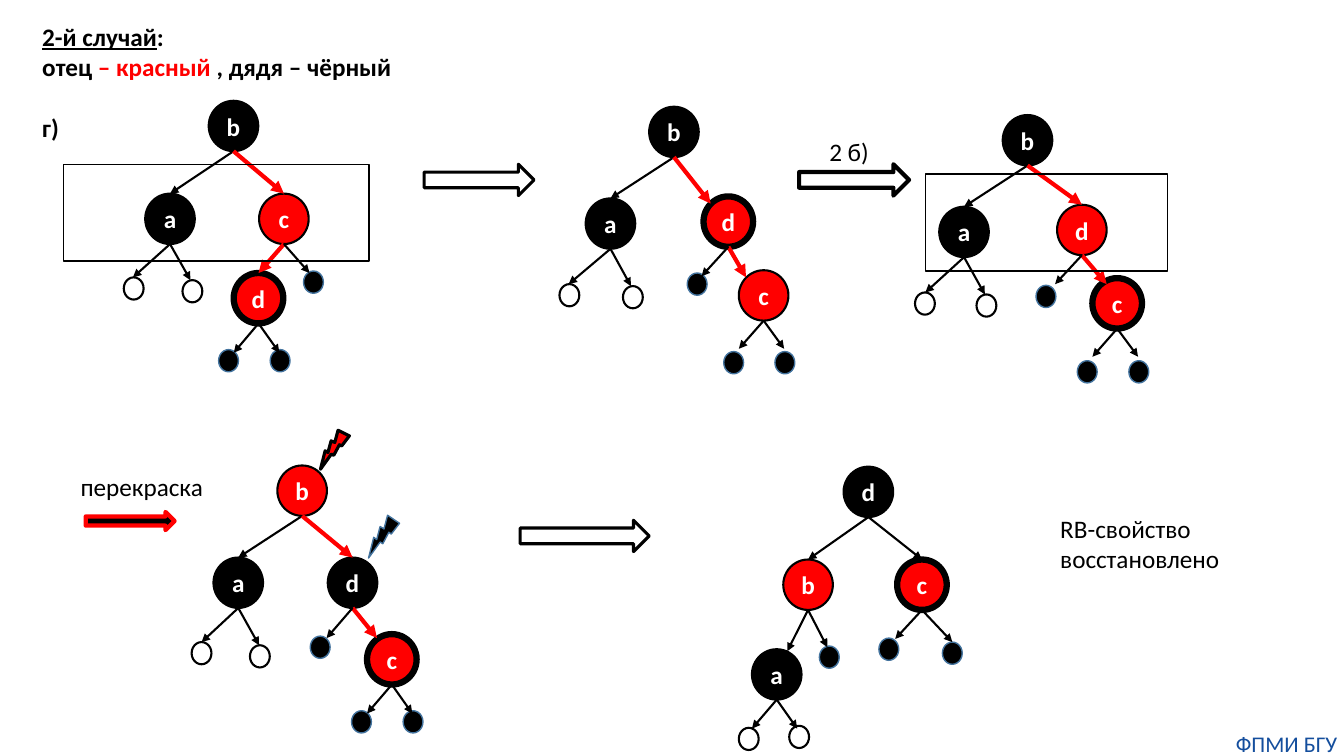
import pptx
import pptx.util
import pptx.dml.color
import pptx.enum.shapes
import pptx.enum.text
import pptx.oxml
import pptx.oxml.ns

Cm = pptx.util.Cm
Pt = pptx.util.Pt
KIND = pptx.enum.shapes.MSO_SHAPE
ALIGN = pptx.enum.text.PP_ALIGN
ANCHOR = pptx.enum.text.MSO_ANCHOR
COLORS = {"black": "000000", "red": "FF0000", "white": "FFFFFF", "steel": "43739E", "navy": "144E9D"}
NODE_WIDTH, NODE_HEIGHT = 1.25, 1.27
LEAF_WIDTH, LEAF_HEIGHT = 0.5, 0.56

deck = pptx.Presentation()
deck.slide_width = Cm(33.87)
deck.slide_height = Cm(19.05)
page = deck.slides.add_slide(deck.slide_layouts[5])


def add_figure(kind, left, top, width, height, fill, line, weight):
    figure = page.shapes.add_shape(kind, Cm(left), Cm(top), Cm(width), Cm(height))
    figure.shadow.inherit = False
    if fill:
        figure.fill.solid()
        figure.fill.fore_color.rgb = pptx.dml.color.RGBColor.from_string(COLORS[fill])
    else:
        figure.fill.background()
    figure.line.color.rgb = pptx.dml.color.RGBColor.from_string(COLORS[line])
    figure.line.width = Pt(weight)
    return figure


def format_font(font, color, size=18, bold=False):
    font.name = "Calibri"
    font.size = Pt(size)
    font.bold = bold
    font.color.rgb = pptx.dml.color.RGBColor.from_string(COLORS[color])


# nodes: label, left, top, fill, outline, parent, edge colour, edge tip
# leaves: parent, left, top, fill, edge tip
trees = [
    ([("b", 5.26, 2.54, "black", 1.5, None, None, None),
      ("a", 3.66, 4.88, "black", 1.5, "b", "black", None),
      ("c", 6.53, 4.88, "red", 1.5, "b", "red", None),
      ("d", 5.89, 6.88, "red", 4.5, "c", "red", None)],
     [("a", 3.12, 6.99, "white", (3.35, 6.99)), ("a", 4.6, 7.06, None, (4.8, 7.06)),
      ("c", 7.65, 6.83, "black", (7.8, 6.88)),
      ("d", 5.51, 8.81, "black", (5.89, 8.89)), ("d", 6.81, 8.81, "black", (7.04, 8.89))]),
    ([("b", 16.36, 2.69, "black", 1.5, None, None, None),
      ("a", 14.76, 5, "black", 1.5, "b", "black", None),
      ("d", 17.73, 4.95, "red", 4.5, "b", "red", (17.91, 5.13)),
      ("c", 18.62, 6.81, "red", 1.5, "d", "red", (18.8, 6.99))],
     [("a", 14.1, 7.16, "white", (14.33, 7.16)), ("a", 15.7, 7.21, None, (15.9, 7.21)),
      ("d", 17.32, 6.88, "black", (17.68, 6.96)),
      ("c", 18.24, 8.86, "black", (18.62, 8.79)), ("c", 19.53, 8.86, "black", (19.76, 8.79))]),
    ([("b", 25.27, 2.9, "black", 1.5, None, None, None),
      ("a", 23.67, 5.21, "black", 1.5, "b", "black", None),
      ("d", 26.64, 5.16, "red", 1.5, "b", "red", None),
      ("c", 27.53, 7.01, "red", 4.5, "d", "red", (27.89, 7.16))],
     [("a", 23.06, 7.37, "white", (23.32, 7.37)), ("a", 24.61, 7.42, None, (24.82, 7.42)),
      ("d", 26.11, 7.19, "black", (26.59, 7.16)),
      ("c", 27.15, 9.09, "black", (27.53, 8.99)), ("c", 28.45, 9.09, "black", (28.68, 8.99))]),
    ([("b", 6.99, 11.73, "red", 1.5, None, None, None),
      ("a", 5.38, 14.05, "black", 1.5, "b", "black", None),
      ("d", 8.26, 14.05, "black", 1.5, "b", "red", None),
      ("с", 9.25, 15.98, "red", 4.5, "d", "red", (9.5, 16.08))],
     [("a", 4.83, 16.18, "white", (5.08, 16.18)), ("a", 6.3, 16.26, None, (6.53, 16.26)),
      ("d", 7.82, 16.03, "black", (8.23, 16.08)),
      ("с", 8.86, 17.91, "black", (9.25, 17.98)), ("с", 10.16, 17.91, "black", (10.39, 17.98))]),
    ([("d", 21.26, 11.76, "black", 1.5, None, None, None),
      ("b", 19.74, 14.1, "red", 1.5, "d", "black", None),
      ("c", 22.61, 14.1, "red", 4.5, "d", "black", None),
      ("a", 18.95, 16.36, "black", 1.5, "b", "black", (19.84, 16.41))],
     [("a", 18.62, 18.34, None, (18.95, 18.36)), ("a", 19.89, 18.29, None, (20.09, 18.36)),
      ("b", 20.65, 16.28, "black", (20.85, 16.31)),
      ("c", 22.15, 16.08, "black", (22.56, 16.1)), ("c", 23.75, 16.18, "black", (24, 16.18))]),
]

for nodes, leaves in trees:
    bottoms = {}
    edges = []
    for label, left, top, fill, outline, parent, edge_color, tip in nodes:
        node = add_figure(KIND.OVAL, left, top, NODE_WIDTH, NODE_HEIGHT, fill, "black", outline)
        frame = node.text_frame
        frame.margin_left = frame.margin_right = frame.margin_top = frame.margin_bottom = 0
        frame.word_wrap = False
        frame.vertical_anchor = ANCHOR.MIDDLE
        frame.text = label
        frame.paragraphs[0].alignment = ALIGN.CENTER
        format_font(frame.paragraphs[0].runs[0].font, "white", bold=True)
        middle = left + NODE_WIDTH / 2
        bottoms[label] = (middle, top + NODE_HEIGHT)
        if parent:
            edges.append((parent, tip or (middle, top), edge_color))
    for parent, left, top, fill, tip in leaves:
        line, weight = ("steel", 1) if fill == "black" else ("black", 1.5)
        add_figure(KIND.OVAL, left, top, LEAF_WIDTH, LEAF_HEIGHT, fill, line, weight)
        edges.append((parent, tip, "black"))
    for parent, tip, edge_color in edges:
        start = bottoms[parent]
        edge = page.shapes.add_connector(
            pptx.enum.shapes.MSO_CONNECTOR.STRAIGHT, Cm(start[0]), Cm(start[1]), Cm(tip[0]), Cm(tip[1]))
        edge.line.color.rgb = pptx.dml.color.RGBColor.from_string(COLORS[edge_color])
        edge.line.width = Pt(3 if edge_color == "red" else 1.5)
        head = pptx.oxml.parse_xml('<a:tailEnd %s type="triangle"/>' % pptx.oxml.ns.nsdecls("a"))
        edge.line._get_or_add_ln().append(head)
        effects = pptx.oxml.parse_xml("<a:effectLst %s/>" % pptx.oxml.ns.nsdecls("a"))
        edge._element.spPr.append(effects)

for left, top, width, height, fill, line, weight in [
    (10.69, 4.14, 2.77, 0.79, None, "black", 2.25),
    (20.14, 4.14, 2.77, 0.79, None, "black", 3),
    (2.16, 12.9, 2.24, 0.46, "black", "red", 3),
    (13.11, 13.11, 3.25, 0.79, None, "black", 2.25),
]:
    add_figure(KIND.RIGHT_ARROW, left, top, width, height, fill, line, weight)

red_bolt = add_figure(KIND.LIGHTNING_BOLT, 8.05, 10.77, 0.66, 1.04, "red", "black", 2.25)
red_bolt.rotation = 62
black_bolt = add_figure(KIND.LIGHTNING_BOLT, 9.22, 12.95, 0.79, 1.07, "black", "steel", 1)
black_bolt.rotation = 65.9

for left, top, width in [(1.6, 4.14, 7.7), (23.32, 4.39, 6.1)]:
    add_figure(KIND.RECTANGLE, left, top, width, 2.44, None, "black", 1)

for text, left, top, width, height in [
    ("2 б)", 20.65, 3.3, 1.52, 1.02),
    ("перекраска", 1.78, 11.76, 3.63, 1.02),
    ("RB-свойство\nвосстановлено", 26.47, 12.8, 4.57, 1.8),
]:
    box = page.shapes.add_textbox(Cm(left), Cm(top), Cm(width), Cm(height))
    box.text_frame.word_wrap = False
    box.text_frame.text = text
    for para in box.text_frame.paragraphs:
        format_font(para.runs[0].font, "black")

footer = page.shapes.add_textbox(Cm(30.99), Cm(18.41), Cm(2.87), Cm(0.69))
frame = footer.text_frame
frame.margin_left = frame.margin_right = frame.margin_top = frame.margin_bottom = 0
frame.word_wrap = True
frame.text = "ФПМИ БГУ"
frame.paragraphs[0].alignment = ALIGN.CENTER
format_font(frame.paragraphs[0].runs[0].font, "navy", 16)

title = page.shapes.title
title.left, title.top, title.width, title.height = Cm(0.81), Cm(0.41), Cm(11.63), Cm(3.33)
frame = title.text_frame
frame.word_wrap = True
frame.auto_size = pptx.enum.text.MSO_AUTO_SIZE.NONE
frame.vertical_anchor = ANCHOR.TOP
frame.text = "\n\n"
title_lines = [
    [("2-й случай", "black"), (":", "black")],
    [("отец", "black"), (" – красный ", "red"), (", дядя – чёрный", "black")],
    [("г)", "black")],
]
for para, spans in zip(frame.paragraphs, title_lines):
    para.alignment = ALIGN.LEFT
    for text, color in spans:
        span = para.add_run()
        span.text = text
        format_font(span.font, color, bold=True)
frame.paragraphs[0].runs[0].font.underline = True
frame.paragraphs[2].space_before = Pt(22)

deck.save("out.pptx")
